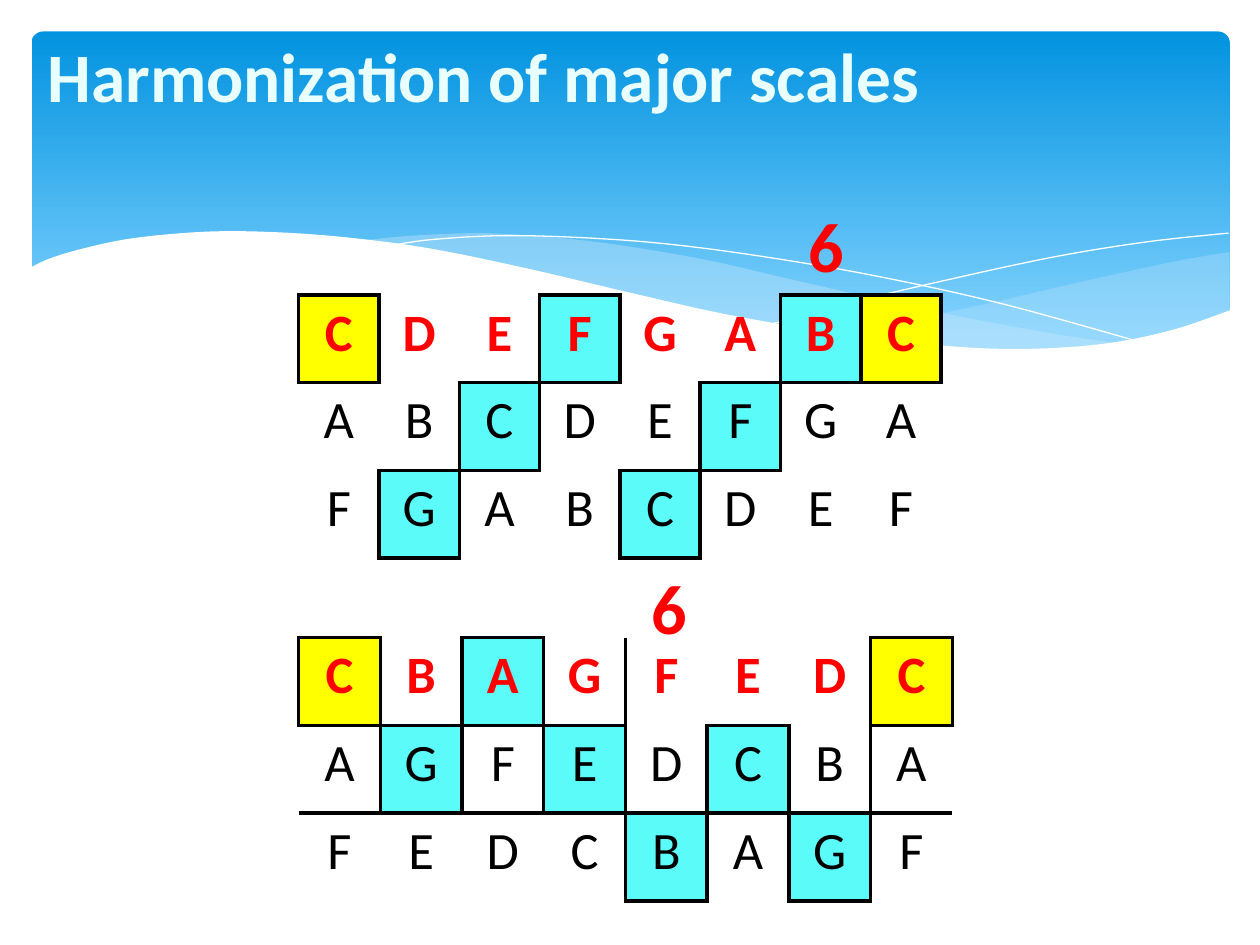
from dataclasses import dataclass

from lxml import etree
from pptx import Presentation
from pptx.dml.color import RGBColor
from pptx.enum.shapes import MSO_SHAPE
from pptx.enum.text import MSO_ANCHOR, MSO_AUTO_SIZE, PP_ALIGN
from pptx.oxml.ns import qn
from pptx.util import Inches, Pt

ROUNDED = MSO_SHAPE.ROUNDED_RECTANGLE
MIDDLE = MSO_ANCHOR.MIDDLE
NO_AUTOFIT = MSO_AUTO_SIZE.NONE
LEFT, CENTER = PP_ALIGN.LEFT, PP_ALIGN.CENTER

SKY_DARK = RGBColor(0x02, 0x93, 0xE0)
SKY_LIGHT = RGBColor(0x83, 0xD3, 0xFE)
MIST = RGBColor(0xC6, 0xE7, 0xFC)
WHITE = RGBColor(0xFF, 0xFF, 0xFF)
TITLE_TINT = RGBColor(0xE9, 0xFF, 0xFE)
RED = RGBColor(0xFF, 0x00, 0x00)
BLACK = RGBColor(0x00, 0x00, 0x00)
YELLOW = RGBColor(0xFF, 0xFF, 0x00)
AQUA = RGBColor(0x5A, 0xFB, 0xF8)
FONT = "Calibri"

Point = tuple[float, float]
Edge = tuple[str, int, int]  # "h" above or "v" left of (row, column)


@dataclass(frozen=True)
class Wave:
    edges: tuple[tuple[Point, ...], ...]  # smooth edges, joined by straight lines
    color: RGBColor
    opacity: int = 100  # percent
    outline_only: bool = False


@dataclass(frozen=True)
class Scale:
    top: float
    width: float
    notes: tuple[str, ...]
    marks: tuple[str, ...]  # Y yellow, A aqua, . plain
    extra_edges: frozenset[Edge]
    six_at: Point


WAVES = (
    Wave((((9.76, 2), (9.35, 2.07), (8.61, 2.23), (7.79, 2.42), (7.06, 2.57), (6.61, 2.65)),
          ((6.61, 2.65), (7.05, 2.71), (7.57, 2.76), (8.03, 2.78), (8.54, 2.76),
           (8.97, 2.7), (9.35, 2.62), (9.76, 2.47))), MIST, 29),
    Wave((((8.93, 2.73), (8.37, 2.65), (7.41, 2.47), (6.29, 2.22), (5.69, 2.08),
           (5.14, 1.98), (4.65, 1.91), (4.2, 1.87), (3.8, 1.85), (3.28, 1.87), (2.86, 1.91)),
          ((2.86, 1.91), (3.42, 1.99), (4.04, 2.11), (4.91, 2.32), (5.66, 2.48),
           (6.34, 2.61), (6.95, 2.7), (7.48, 2.76), (8.07, 2.78), (8.57, 2.77),
           (8.93, 2.73))), MIST, 40),
    Wave((((3.09, 1.95), (3.44, 1.9), (4.01, 1.87), (4.69, 1.89), (5.33, 1.94),
           (6.08, 2.04), (6.95, 2.19), (7.95, 2.41), (9.07, 2.72)),), WHITE, outline_only=True),
    Wave((((6.13, 2.57), (6.72, 2.41), (7.48, 2.23), (8.36, 2.04), (9.1, 1.92),
           (9.75, 1.85)),), WHITE, outline_only=True),
    Wave((((9.77, 2.46), (9.3, 2.62), (8.75, 2.73), (8.09, 2.77), (7.44, 2.74),
           (6.68, 2.65), (5.79, 2.5), (5.03, 2.33), (4.18, 2.13), (3.4, 1.97),
           (2.71, 1.88), (2.11, 1.84), (1.61, 1.84), (1.06, 1.89), (0.67, 1.97),
           (0.4, 2.05), (0.23, 2.13)), ((0.23, 3.29), (9.77, 3.29))), WHITE),
)

SCALES = (
    Scale(2.34, 5.1, ("CDEFGABC", "ABCDEFGA", "FGABCDEF"),
          ("Y..A..AY", "..A..A..", ".A..A..."), frozenset(), (6.32, 1.56)),
    Scale(5.06, 5.19, ("CBAGFEDC", "AGFEDCBA", "FEDCBAGF"),
          ("Y.A....Y", ".A.A.A..", "....A.A."),
          frozenset({("v", 0, 4), ("v", 1, 7)} | {("h", 2, column) for column in range(8)}),
          (5.07, 4.43)),
)
MARK_FILLS = {"Y": YELLOW, "A": AQUA}


def smooth(knots: tuple[Point, ...], steps: int = 6) -> list[Point]:
    """Points of a Catmull-Rom curve through the knots."""
    if len(knots) < 3:
        return list(knots)
    padded = (knots[0], *knots, knots[-1])
    curve = [knots[0]]
    for a, b, c, d in zip(padded, padded[1:], padded[2:], padded[3:]):
        for t in (step / steps for step in range(1, steps + 1)):
            curve.append(tuple(
                (2 * q + (r - p) * t + (2 * p - 5 * q + 4 * r - s) * t ** 2
                 + (3 * q - p - 3 * r + s) * t ** 3) / 2
                for p, q, r, s in zip(a, b, c, d)))
    return curve


def draw_wave(slide, wave: Wave) -> None:
    points = [(Inches(x), Inches(y)) for edge in wave.edges for x, y in smooth(edge)]
    builder = slide.shapes.build_freeform(*points[0])
    builder.add_line_segments(points[1:], close=not wave.outline_only)
    band = builder.convert_to_shape()
    band.shadow.inherit = False
    if wave.outline_only:
        band.fill.background()
        band.line.color.rgb = wave.color
        band.line.width = Pt(0)
        return
    band.line.fill.background()
    band.fill.solid()
    band.fill.fore_color.rgb = wave.color
    if wave.opacity < 100:
        color = band.fill._xPr.find(qn("a:solidFill"))[0]
        etree.SubElement(color, qn("a:alpha"), val=str(wave.opacity * 1000))


def draw_banner(slide) -> None:
    banner = slide.shapes.add_shape(ROUNDED, Inches(0.25), Inches(0.25), Inches(9.51), Inches(2.7))
    banner.adjustments[0] = 0.034
    banner.shadow.inherit = False
    banner.line.fill.background()
    banner.fill.gradient()
    banner.fill.gradient_angle = 270
    for stop, color, position in zip(banner.fill.gradient_stops, (SKY_DARK, SKY_LIGHT), (0, 0.9)):
        stop.color.rgb = color
        stop.position = position


def style(paragraph, size: float, color: RGBColor, bold: bool, align=LEFT) -> None:
    paragraph.alignment = align
    paragraph.font.name = FONT
    paragraph.font.size = Pt(size)
    paragraph.font.bold = bold
    paragraph.font.color.rgb = color


def draw_title(slide, text: str) -> None:
    title = slide.shapes.title
    title.left, title.top, title.width, title.height = map(Inches, (0.28, 0.24, 8.44, 0.71))
    title.text_frame.text = text
    title.text_frame.auto_size = NO_AUTOFIT
    title.text_frame.vertical_anchor = MIDDLE
    style(title.text_frame.paragraphs[0], 39.6, TITLE_TINT, True)
    slide.shapes._spTree.append(title._element)  # bring in front of the waves


def cell_edges(row: int, column: int) -> dict[str, Edge]:
    return {"a:lnL": ("v", row, column), "a:lnR": ("v", row, column + 1),
            "a:lnT": ("h", row, column), "a:lnB": ("h", row + 1, column)}


def set_borders(cell, row: int, column: int, lined: set[Edge]) -> None:
    properties = cell._tc.get_or_add_tcPr()
    for tag, edge in cell_edges(row, column).items():
        border = etree.SubElement(properties, qn(tag), w=str(Pt(2.25)))
        if edge in lined:
            fill = etree.SubElement(border, qn("a:solidFill"))
            etree.SubElement(fill, qn("a:srgbClr"), val=str(BLACK))
        else:
            etree.SubElement(border, qn("a:noFill"))


def draw_scale(slide, scale: Scale) -> None:
    rows, columns = len(scale.notes), len(scale.notes[0])
    table = slide.shapes.add_table(rows, columns, Inches(2.37), Inches(scale.top),
                                   Inches(scale.width), Inches(2.09)).table
    table.first_row = table.horz_banding = False
    # Every marked cell is boxed; neighbours share its edges
    lined = set(scale.extra_edges)
    for row, marks in enumerate(scale.marks):
        for column, mark in enumerate(marks):
            if mark in MARK_FILLS:
                lined.update(cell_edges(row, column).values())
    for row, (notes, marks) in enumerate(zip(scale.notes, scale.marks)):
        for column, (note, mark) in enumerate(zip(notes, marks)):
            cell = table.cell(row, column)
            cell.text = note
            style(cell.text_frame.paragraphs[0], 30, BLACK if row else RED, row == 0, CENTER)
            set_borders(cell, row, column, lined)
            if mark in MARK_FILLS:
                cell.fill.solid()
                cell.fill.fore_color.rgb = MARK_FILLS[mark]
            else:
                cell.fill.background()


def draw_six(slide, at: Point) -> None:
    six = slide.shapes.add_textbox(Inches(at[0]), Inches(at[1]), Inches(0.41), Inches(0.77))
    six.text_frame.text = "6"
    style(six.text_frame.paragraphs[0], 40, RED, True)


def main() -> None:
    deck = Presentation()
    deck.slide_width, deck.slide_height = Inches(10), Inches(7.5)
    slide = deck.slides.add_slide(deck.slide_layouts[5])
    # Banner and waves
    draw_banner(slide)
    for wave in WAVES:
        draw_wave(slide, wave)
    draw_title(slide, "Harmonization of major scales")
    # Rising and falling scales with their chord numbers
    for scale in SCALES:
        draw_scale(slide, scale)
    for scale in SCALES:
        draw_six(slide, scale.six_at)
    deck.save("out.pptx")


if __name__ == "__main__":
    main()
